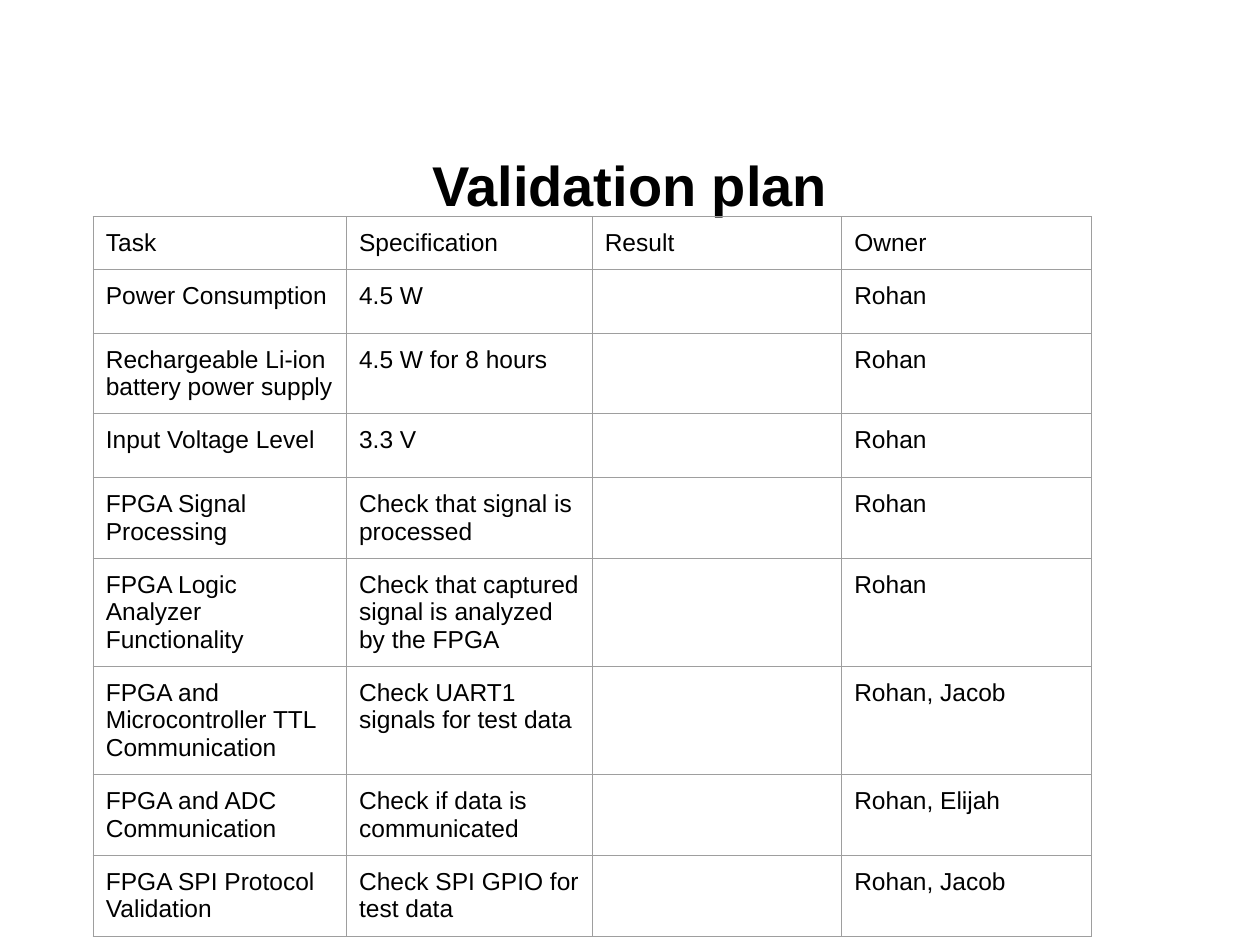
"""Build the validation plan slide with its task table."""
import lxml.etree
import pptx
import pptx.dml.color
import pptx.enum.text
import pptx.oxml.ns
import pptx.util

Inches = pptx.util.Inches
Pt = pptx.util.Pt
BLACK = pptx.dml.color.RGBColor(0x00, 0x00, 0x00)
BORDER_GREY = pptx.dml.color.RGBColor(0x9E, 0x9E, 0x9E)

COLUMN_WIDTHS = [2.01, 1.95, 1.98, 1.98]
ROW_HEIGHTS = [0.42, 0.48, 0.64, 0.48, 0.64, 0.86, 0.86, 0.64, 0.64]
PLAN = [
    ("Task", "Specification", "Result", "Owner"),
    ("Power Consumption", "4.5 W", "", "Rohan"),
    ("Rechargeable Li-ion battery power supply", "4.5 W for 8 hours", "", "Rohan"),
    ("Input Voltage Level", "3.3 V", "", "Rohan"),
    ("FPGA Signal Processing", "Check that signal is processed", "", "Rohan"),
    ("FPGA Logic Analyzer Functionality",
     "Check that captured signal is analyzed by the FPGA", "", "Rohan"),
    ("FPGA and Microcontroller TTL Communication",
     "Check UART1 signals for test data", "", "Rohan, Jacob"),
    ("FPGA and ADC Communication", "Check if data is communicated", "", "Rohan, Elijah"),
    ("FPGA SPI Protocol Validation", "Check SPI GPIO for test data", "", "Rohan, Jacob"),
]


def set_attributes(target, values):
    for name, value in values.items():
        setattr(target, name, value)


class SlideBuilder:
    title_font = {"name": "Arial", "size": Pt(32), "bold": True}
    cell_font = {"name": "Arial", "size": Pt(14), "bold": False}
    cell_margins = {f"margin_{side}": Inches(0.1)
                    for side in ("left", "top", "right", "bottom")}

    def __init__(self, slide):
        self.slide = slide

    def add_text(self, paragraph, text, font):
        run = paragraph.add_run()
        run.text = text
        set_attributes(run.font, font)
        run.font.color.rgb = BLACK

    def add_title(self, text, left, top, width, height):
        title = self.slide.shapes.title
        set_attributes(title, {"left": Inches(left), "top": Inches(top),
                               "width": Inches(width), "height": Inches(height)})
        title.text_frame.vertical_anchor = pptx.enum.text.MSO_ANCHOR.MIDDLE
        paragraph = title.text_frame.paragraphs[0]
        paragraph.alignment = pptx.enum.text.PP_ALIGN.CENTER
        self.add_text(paragraph, text, self.title_font)

    def add_borders(self, cell):
        properties = cell._tc.get_or_add_tcPr()
        qualified = pptx.oxml.ns.qn
        for position, side in enumerate(("lnL", "lnR", "lnT", "lnB")):
            line = lxml.etree.Element(qualified(f"a:{side}"), w=str(Pt(0.75)))
            fill = lxml.etree.SubElement(line, qualified("a:solidFill"))
            lxml.etree.SubElement(fill, qualified("a:srgbClr"), val=str(BORDER_GREY))
            properties.insert(position, line)

    def add_table(self, rows, left, top, widths, heights):
        table = self.slide.shapes.add_table(
            len(rows), len(widths), Inches(left), Inches(top),
            Inches(sum(widths)), Inches(sum(heights))).table
        set_attributes(table, {"first_row": False, "horz_banding": False})
        for column, width in zip(table.columns, widths):
            column.width = Inches(width)
        for row, height, texts in zip(table.rows, heights, rows):
            row.height = Inches(height)
            for cell, text in zip(row.cells, texts):
                set_attributes(cell, self.cell_margins)
                cell.fill.background()
                self.add_borders(cell)
                if text:
                    self.add_text(cell.text_frame.paragraphs[0], text, self.cell_font)


def main():
    presentation = pptx.Presentation()
    set_attributes(presentation, {"slide_width": Inches(10), "slide_height": Inches(7.5)})
    builder = SlideBuilder(presentation.slides.add_slide(presentation.slide_layouts[5]))
    builder.add_title("Validation plan", 0.5, 1.02, 9, 0.88)
    builder.add_table(PLAN, 0.74, 1.72, COLUMN_WIDTHS, ROW_HEIGHTS)
    presentation.save("out.pptx")


if __name__ == "__main__":
    main()
